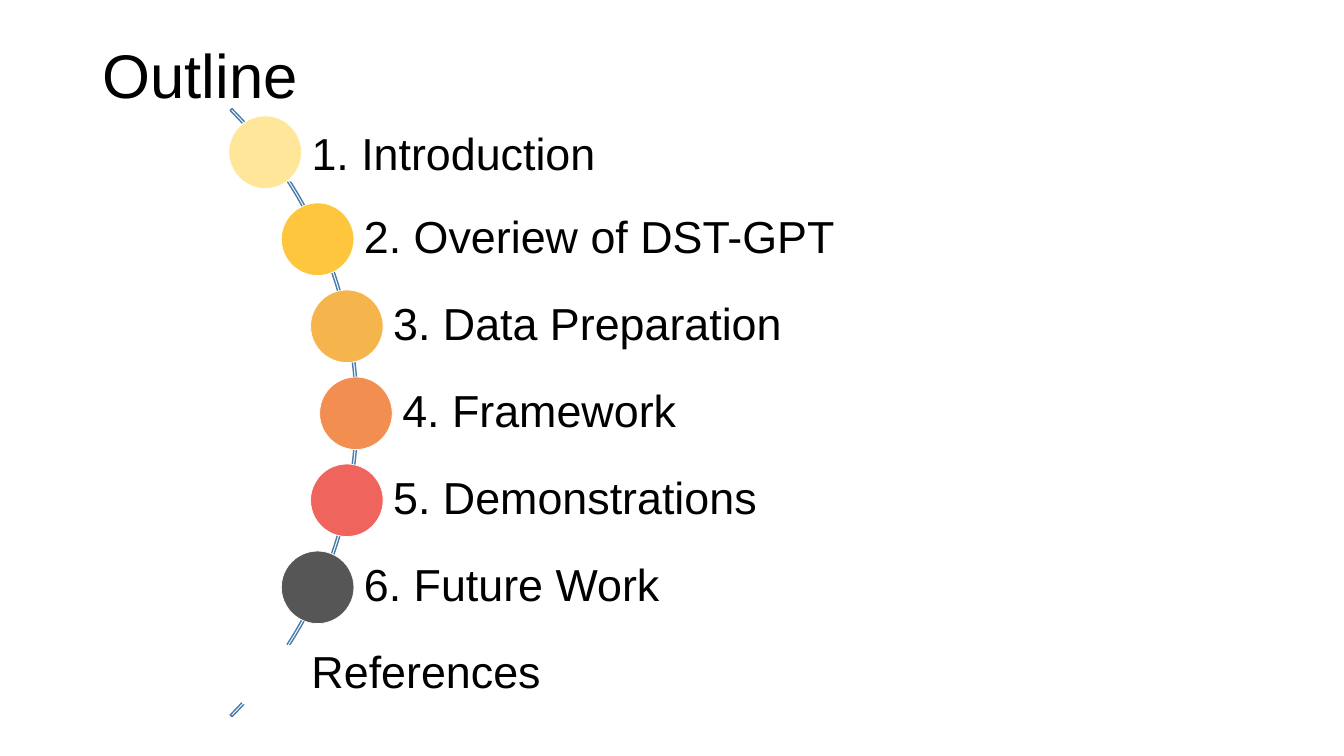
from pptx import Presentation
from pptx.dml.color import RGBColor
from pptx.enum import shapes, text
from pptx.util import Inches, Pt

COLORS = {
    "black": "000000",
    "white": "FFFFFF",
    "arc": "497CAB",
    "cream": "FFE699",
    "yellow": "FDC63C",
    "amber": "F6B54C",
    "orange": "F18E50",
    "red": "EF655D",
    "gray": "565656",
}
TOPICS = [
    ("1. Introduction", 2.63, 4.15, "cream"),
    ("2. Overiew of DST-GPT", 3.15, 5.29, "yellow"),
    ("3. Data Preparation", 3.44, 5, "amber"),
    ("4. Framework", 3.53, 4.19, "orange"),
    ("5. Demonstrations", 3.44, 4.28, "red"),
    ("6. Future Work", 3.15, 3.63, "gray"),
    ("References", 2.63, 3.34, "white"),
]
FIRST_TOP = 1.22
ROW_STEP = 5.18 / 6
ROW_HEIGHT = 0.58
DOT_SIZE = 0.72


def add_plain_shape(kind, left, top, width, height, fill=None, line=None, weight=0.5):
    shape = slide.shapes.add_shape(
        kind, Inches(left), Inches(top), Inches(width), Inches(height)
    )
    shape.shadow.inherit = False
    for part, color in ((shape.fill, fill), (shape.line.fill, line)):
        if color:
            part.solid()
            part.fore_color.rgb = RGBColor.from_string(COLORS[color])
        else:
            part.background()
    if line:
        shape.line.width = Pt(weight)
    return shape


def write_text(shape, words, size, anchor):
    frame = shape.text_frame
    frame.text = words
    frame.word_wrap = True
    frame.vertical_anchor = anchor
    paragraph = frame.paragraphs[0]
    paragraph.alignment = text.PP_ALIGN.LEFT
    paragraph.line_spacing = 0.9
    font = paragraph.runs[0].font
    font.name = "Arial"
    font.size = Pt(size)
    font.color.rgb = RGBColor.from_string(COLORS["black"])


presentation = Presentation()
presentation.slide_width = Inches(13.33)
presentation.slide_height = Inches(7.5)
slide = presentation.slides.add_slide(presentation.slide_layouts[6])

arc = add_plain_shape(
    shapes.MSO_SHAPE.BLOCK_ARC, -4.98, -0.17, 8.53, 8.53, line="arc", weight=1
)
for index, value in enumerate((189, 27, 0.003)):
    arc.adjustments[index] = value

for row, (words, left, width, color) in enumerate(TOPICS):
    top = FIRST_TOP + row * ROW_STEP
    label = add_plain_shape(
        shapes.MSO_SHAPE.RECTANGLE, left, top, width, ROW_HEIGHT, fill="white"
    )
    frame = label.text_frame
    frame.margin_left = Inches(0.46)
    frame.margin_top = frame.margin_right = frame.margin_bottom = Inches(0.09)
    anchor = text.MSO_ANCHOR.MIDDLE if row else text.MSO_ANCHOR.TOP
    write_text(label, words, 32, anchor)
    add_plain_shape(
        shapes.MSO_SHAPE.OVAL,
        left - DOT_SIZE / 2,
        top + (ROW_HEIGHT - DOT_SIZE) / 2,
        DOT_SIZE,
        DOT_SIZE,
        fill=color,
        line="white",
    )

title = slide.shapes.add_textbox(Inches(0.92), Inches(0.4), Inches(11.5), Inches(1.45))
write_text(title, "Outline", 44, text.MSO_ANCHOR.TOP)

presentation.save("out.pptx")
